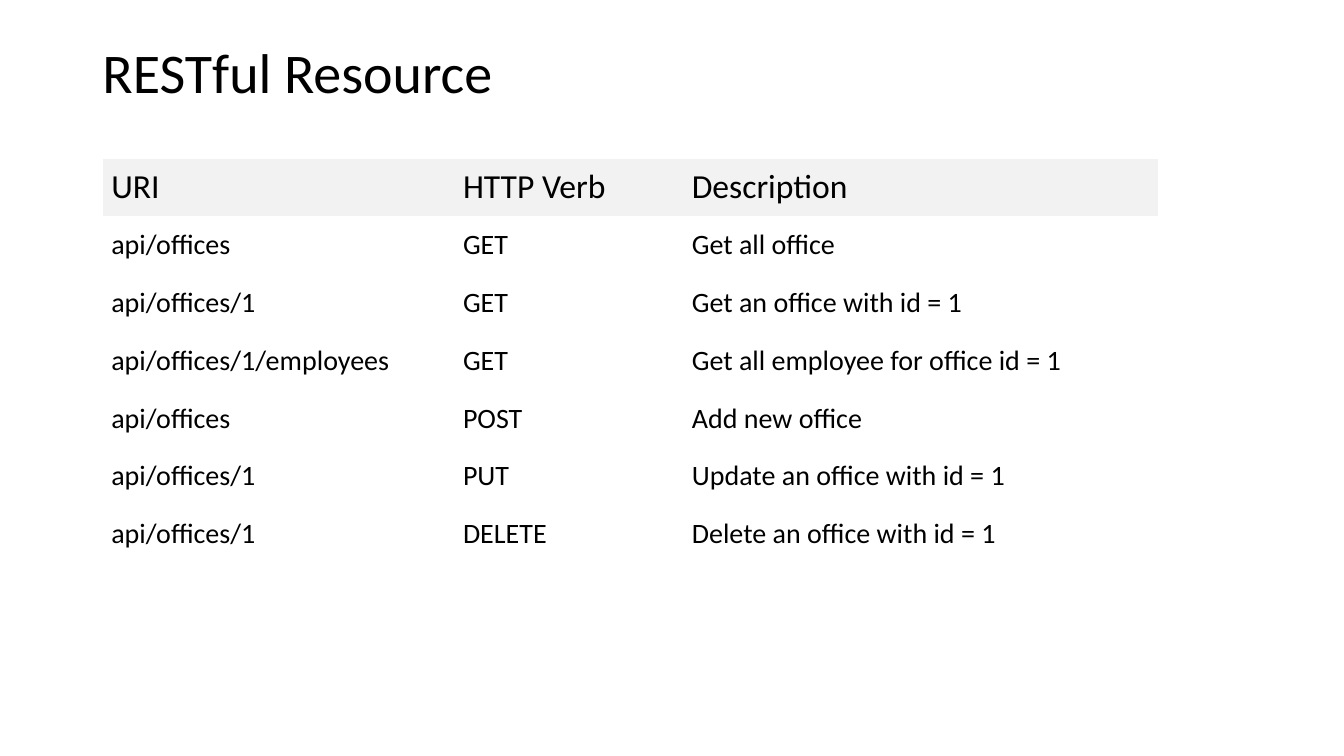
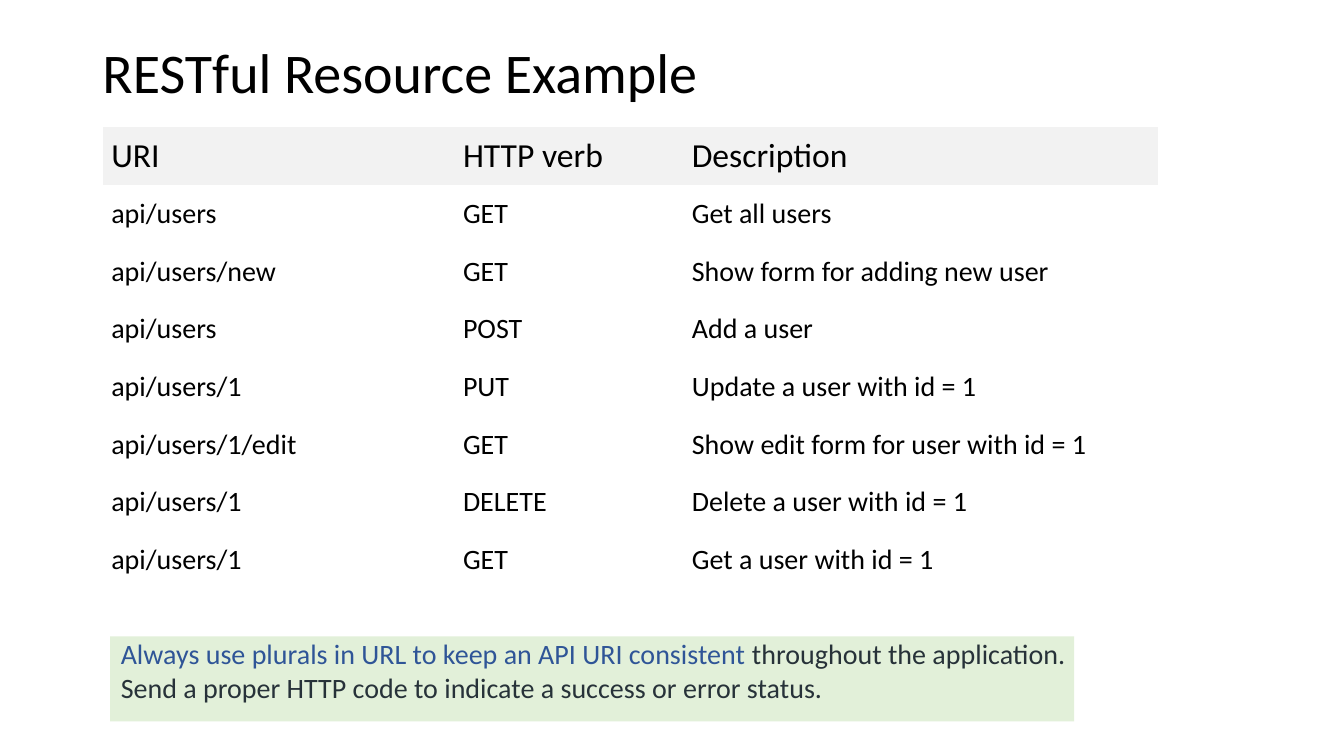
from pptx import Presentation
from pptx.dml.color import RGBColor
from pptx.enum.shapes import MSO_SHAPE as Shape
from pptx.enum.text import MSO_ANCHOR as Anchor, PP_ALIGN as Align
from pptx.oxml.ns import qn
from pptx.util import Pt

# Content
PAGES = [
    {
        "title": "RESTful Resource",
        "table_top": 151,
        "rows": [
            ("URI", "HTTP Verb", "Description"),
            ("api/offices", "GET", "Get all office"),
            ("api/offices/1", "GET", "Get an office with id = 1"),
            ("api/offices/1/employees", "GET", "Get all employee for office id = 1"),
            ("api/offices", "POST", "Add new office"),
            ("api/offices/1", "PUT", "Update an office with id = 1"),
            ("api/offices/1", "DELETE", "Delete an office with id = 1"),
        ],
        "note": [],
    },
    {
        "title": "RESTful Resource Example",
        "table_top": 121,
        "rows": [
            ("URI", "HTTP verb", "Description"),
            ("api/users", "GET", "Get all users"),
            ("api/users/new", "GET", "Show form for adding new user"),
            ("api/users", "POST", "Add a user"),
            ("api/users/1", "PUT", "Update a user with id = 1"),
            ("api/users/1/edit", "GET", "Show edit form for user with id = 1"),
            ("api/users/1", "DELETE", "Delete a user with id = 1"),
            ("api/users/1", "GET", "Get a user with id = 1"),
        ],
        "note": [
            [("Always use plurals in URL to keep an API URI consistent", "accent"),
             (" throughout the application.", "slate")],
            [("Send a proper HTTP code to indicate a success or error status.", "slate")],
        ],
    },
]

# Shared style
COLORS = {"text": "000000", "header": "F2F2F2", "note": "E2F0D9",
          "accent": "2F5597", "slate": "273239"}
FONT = "Calibri"
PX = 9525  # EMU per px, 96 px to the inch
TITLE_BOX = (88, 38, 1104, 68)
NOTE_BOX = (105, 606, 918, 81)
TABLE_LEFT, ROW_HEIGHT = 98, 55
COLUMNS = (335, 218, 452)
PLAIN_TABLE = "{2D5ABB26-0587-4C30-8999-92F81FD0307C}"  # no style, no grid


def px(*lengths):
    return [length * PX for length in lengths]


def color(name):
    return RGBColor.from_string(COLORS[name])


def style(para, size, name="text"):
    para.alignment = Align.LEFT
    para.font.name, para.font.size = FONT, Pt(size)
    para.font.color.rgb = color(name)


def set_margins(holder, left, top, right, bottom):
    (holder.margin_left, holder.margin_top,
     holder.margin_right, holder.margin_bottom) = px(left, top, right, bottom)


def add_title(page, text):
    title = page.shapes.title
    title.left, title.top, title.width, title.height = px(*TITLE_BOX)
    title.text_frame.text = text
    title.text_frame.vertical_anchor = Anchor.MIDDLE
    para = title.text_frame.paragraphs[0]
    para.line_spacing = 0.9
    style(para, 40)


def add_resource_table(page, top, rows):
    frame = page.shapes.add_table(
        len(rows), len(COLUMNS),
        *px(TABLE_LEFT, top, sum(COLUMNS), ROW_HEIGHT * len(rows)))
    table = frame.table
    table.first_row = table.horz_banding = False
    table._tbl.tblPr.find(qn("a:tableStyleId")).text = PLAIN_TABLE
    for column, width in zip(table.columns, COLUMNS):
        column.width = width * PX
    for r, texts in enumerate(rows):
        is_header = r == 0
        inset = 8 if is_header else 11
        for c, text in enumerate(texts):
            cell = table.cell(r, c)
            cell.text = text
            cell.vertical_anchor = Anchor.MIDDLE
            set_margins(cell, 8, inset, 8, inset)
            style(cell.text_frame.paragraphs[0], 24 if is_header else 20)
            if is_header:
                cell.fill.solid()
                cell.fill.fore_color.rgb = color("header")
            else:
                cell.fill.background()


def add_note(page, lines):
    box = page.shapes.add_shape(Shape.RECTANGLE, *px(*NOTE_BOX))
    box.shadow.inherit = False
    box.fill.solid()
    box.fill.fore_color.rgb = color("note")
    box.line.fill.background()
    frame = box.text_frame
    frame.word_wrap = True
    frame.vertical_anchor = Anchor.MIDDLE
    set_margins(frame, 10, 0, 0, 16)
    for i, line in enumerate(lines):
        para = frame.add_paragraph() if i else frame.paragraphs[0]
        style(para, 20, "slate")
        for text, name in line:
            span = para.add_run()
            span.text = text
            span.font.color.rgb = color(name)


def main():
    deck = Presentation()
    deck.slide_width, deck.slide_height = px(1280, 720)
    title_only = deck.slide_layouts[5]
    for content in PAGES:
        page = deck.slides.add_slide(title_only)
        add_title(page, content["title"])
        add_resource_table(page, content["table_top"], content["rows"])
        if content["note"]:
            add_note(page, content["note"])
    deck.save("out.pptx")


if __name__ == "__main__":
    main()
